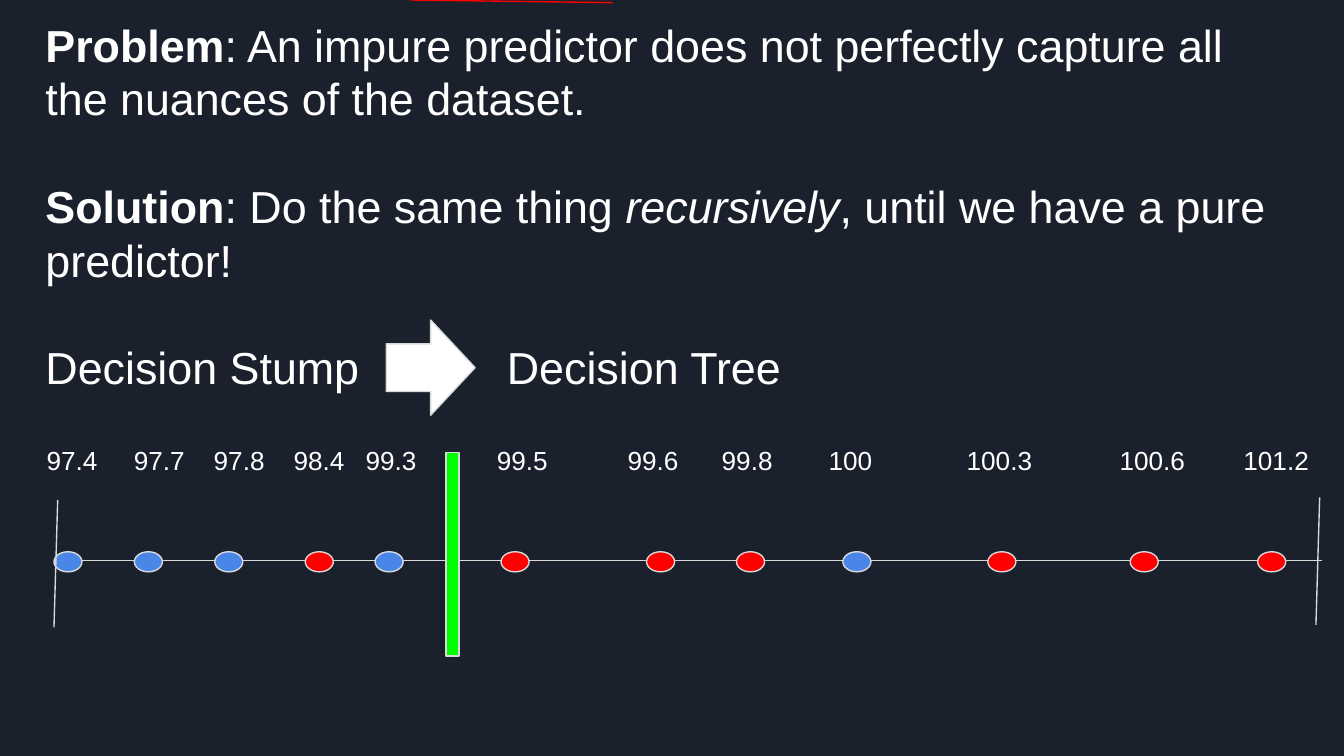
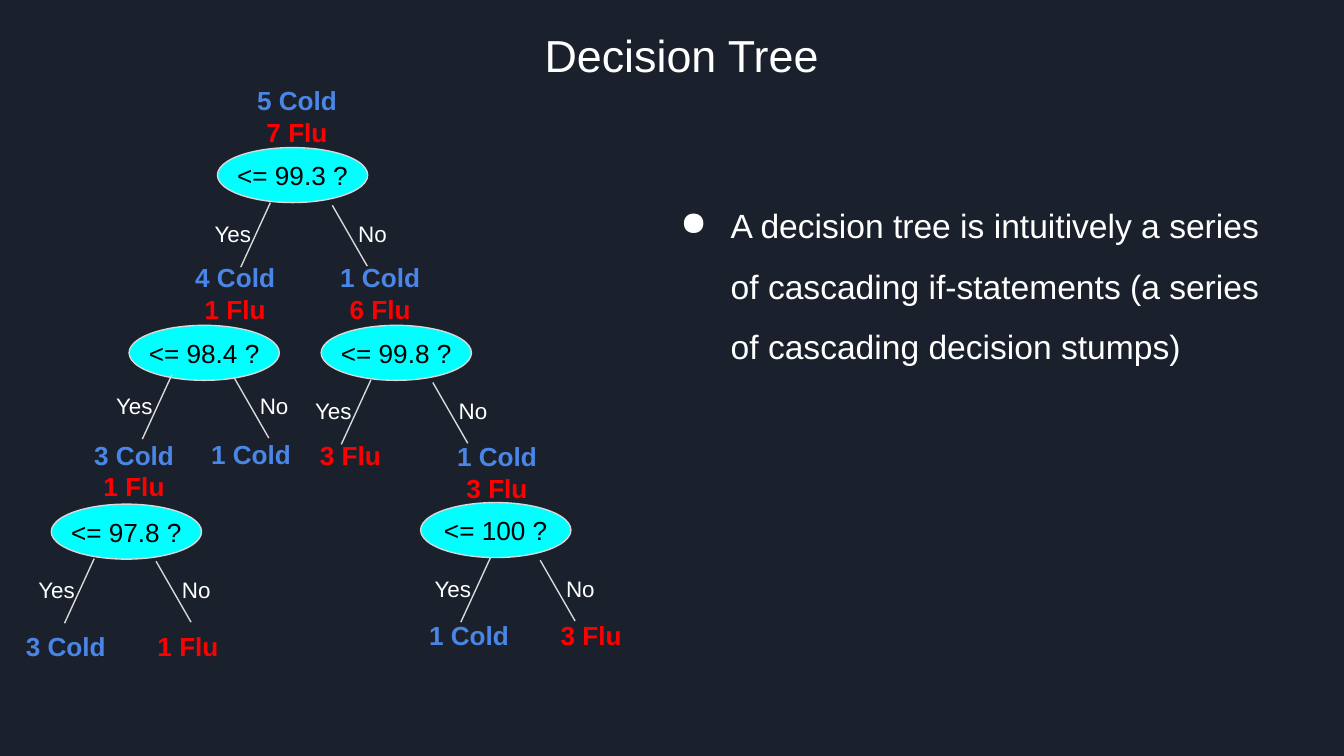
from lxml import etree
from pptx import Presentation
from pptx.dml.color import RGBColor
from pptx.enum.shapes import MSO_CONNECTOR as Connector, MSO_SHAPE as Shape
from pptx.enum.text import MSO_ANCHOR as Anchor, PP_ALIGN as Align
from pptx.oxml.ns import qn
from pptx.util import Cm, Pt

COLORS = {
    "background": "1B212C",
    "text": "FFFFFF",
    "outline": "D9D9D9",
    "cold": "4A86E8",
    "flu": "FF0000",
    "split": "00FF00",
    "question": "00FFFF",
    "question text": "000000",
}
FONT = "Arial"
INSET = 0.25

# Temperature, position of its label, left edge of its dot, diagnosis
PATIENTS = [
    ("97.4", 0.4, 1.02, "cold"),
    ("97.7", 2.05, 2.54, "cold"),
    ("97.8", 3.56, 4.06, "cold"),
    ("98.4", 5.07, 5.77, "flu"),
    ("99.3", 6.43, 7.09, "cold"),
    ("99.5", 8.91, 9.47, "flu"),
    ("99.6", 11.38, 12.22, "flu"),
    ("99.8", 13.16, 13.92, "flu"),
    ("100", 15.18, 15.93, "cold"),
    ("100.3", 17.79, 18.67, "flu"),
    ("100.6", 20.68, 21.36, "flu"),
    ("101.2", 23.02, 23.77, "flu"),
]

# Threshold, ellipse left and top, "Yes" label left and top, Yes-No distance
QUESTIONS = [
    ("99.3", 4.11, 2.79, 3.56, 3.91, 2.64),
    ("98.4", 2.44, 6.15, 1.7, 7.16, 2.64),
    ("97.8", 0.97, 9.53, 0.23, 10.64, 2.64),
    ("99.8", 6.07, 6.15, 5.46, 7.26, 2.64),
    ("100", 7.95, 9.5, 7.72, 10.62, 2.41),
]

# Cold patients, flu patients, left, top
COUNTS = [
    (5, 7, 4.6, 1.35),
    (4, 1, 3.43, 4.7),
    (1, 6, 6.17, 4.7),
    (3, 1, 1.52, 8.05),
    (1, 0, 3.73, 8.03),
    (0, 3, 5.61, 8.05),
    (1, 3, 8.38, 8.08),
    (3, 0, 0.23, 11.66),
    (0, 1, 2.54, 11.66),
    (1, 0, 7.85, 11.46),
    (0, 3, 10.16, 11.46),
]


def rgb(name):
    return RGBColor.from_string(COLORS[name])


def new_slide(presentation):
    slide = presentation.slides.add_slide(presentation.slide_layouts[6])
    fill = slide.background.fill
    fill.solid()
    fill.fore_color.rgb = rgb("background")
    return slide


def style_paragraph(paragraph, size, color="text", align=Align.LEFT, bold=None):
    paragraph.alignment = align
    font = paragraph.font
    font.name, font.size, font.bold = FONT, Pt(size), bold
    font.color.rgb = rgb(color)


def add_property(paragraph, tag, **attributes):
    """Put a paragraph property ahead of the font defaults."""
    element = etree.Element(qn(tag), attributes)
    properties = paragraph._p.get_or_add_pPr()
    font_defaults = properties.find(qn("a:defRPr"))
    if font_defaults is None:
        properties.append(element)
    else:
        font_defaults.addprevious(element)
    return element


def add_tabs(paragraph, positions):
    tabs = add_property(paragraph, "a:tabLst")
    for position in positions:
        etree.SubElement(tabs, qn("a:tab"), pos=str(Cm(position)), algn="l")


def add_bullet(paragraph, margin, hanging):
    properties = paragraph._p.get_or_add_pPr()
    properties.set("marL", str(Cm(margin)))
    properties.set("indent", str(-Cm(hanging)))
    color = add_property(paragraph, "a:buClr")
    etree.SubElement(color, qn("a:srgbClr"), val=COLORS["text"])
    add_property(paragraph, "a:buChar", char="●")


def add_text(slide, lines, left, top, width, height, size,
             align=Align.LEFT, bold=None, wrap=True):
    """Add a text box of (text, colour) lines and return its paragraphs."""
    box = slide.shapes.add_textbox(Cm(left), Cm(top), Cm(width), Cm(height))
    frame = box.text_frame
    frame.word_wrap = wrap
    frame.margin_left = frame.margin_right = Cm(INSET)
    frame.margin_top = frame.margin_bottom = Cm(INSET)
    for index, (text, color) in enumerate(lines):
        paragraph = frame.add_paragraph() if index else frame.paragraphs[0]
        if text:
            paragraph.add_run().text = text
        style_paragraph(paragraph, size, color, align, bold)
    return frame.paragraphs


def add_runs(paragraph, runs):
    for text, emphasis in runs:
        run = paragraph.add_run()
        run.text = text
        if emphasis == "bold":
            run.font.bold = True
        elif emphasis == "italic":
            run.font.italic = True


def add_figure(slide, kind, color, left, top, width, height):
    shape = slide.shapes.add_shape(kind, Cm(left), Cm(top), Cm(width), Cm(height))
    shape.shadow.inherit = False
    shape.fill.solid()
    shape.fill.fore_color.rgb = rgb(color)
    shape.line.color.rgb = rgb("outline")
    shape.line.width = Pt(0.75)
    return shape


def add_line(slide, start, end, color="outline"):
    line = slide.shapes.add_connector(
        Connector.STRAIGHT, *(Cm(value) for value in (*start, *end)))
    line.line.color.rgb = rgb(color)
    line.line.width = Pt(0.75)
    etree.SubElement(line._element.spPr, qn("a:effectLst"))


def add_temperature_axis(slide):
    add_line(slide, (1.02, 10.59), (24.99, 10.59))
    for temperature, label, left, diagnosis in PATIENTS:
        add_figure(slide, Shape.OVAL, diagnosis, left, 10.43, 0.53, 0.38)
    add_line(slide, (1.09, 9.45), (1.02, 11.86))
    add_line(slide, (24.94, 9.4), (24.87, 11.81))

    row = "".join("\t" + patient[0] for patient in PATIENTS)
    paragraph, = add_text(slide, [(row, "text")], 0.23, 8.15, 25.22, 0.51, 14)
    add_tabs(paragraph, [patient[1] for patient in PATIENTS])
    add_figure(slide, Shape.RECTANGLE, "split", 8.43, 8.56, 0.25, 3.84)


def add_question(slide, threshold, left, top):
    ellipse = add_figure(slide, Shape.OVAL, "question", left, top, 2.84, 1.04)
    frame = ellipse.text_frame
    frame.word_wrap = False
    frame.vertical_anchor = Anchor.MIDDLE
    frame.margin_left = frame.margin_right = Cm(0)
    frame.margin_top = frame.margin_bottom = Cm(0)
    paragraph = frame.paragraphs[0]
    paragraph.add_run().text = f"<= {threshold} ?"
    style_paragraph(paragraph, 14, "question text", Align.CENTER)


def add_branches(slide, left, top, gap):
    right = left + gap
    add_line(slide, (left + 1.55, top - 0.08), (left + 0.99, top + 1.14))
    add_line(slide, (right + 0.08, top - 0.03), (right + 0.74, top + 1.12))
    for answer, x in (("Yes", left), ("No", right)):
        add_text(slide, [(answer, "text")], x, top, 1.68, 0.94, 12,
                 Align.CENTER, wrap=False)


def add_counts(slide, cold, flu, left, top):
    lines = [(f"{count} {name.title()}", name)
             for count, name in ((cold, "cold"), (flu, "flu")) if count]
    add_text(slide, lines, left, top, 2.03, 1.42, 14, Align.CENTER,
             bold=True, wrap=False)


def build_problem_slide(presentation):
    slide = new_slide(presentation)
    add_line(slide, (7.75, 0), (11.58, 0.05), "flu")
    add_temperature_axis(slide)

    # Problem, solution and the step from stump to tree
    problem, solution, step = add_text(
        slide, [("", "text")] * 3, 0.61, 0.08, 23.72, 7.26, 24)
    add_runs(problem, [
        ("Problem", "bold"),
        (": An impure predictor does not perfectly capture all the nuances"
         " of the dataset.", None),
    ])
    add_runs(solution, [
        ("Solution", "bold"),
        (": Do the same thing ", None),
        ("recursively", "italic"),
        (", until we have a pure predictor!", None),
    ])
    add_runs(step, [("Decision Stump\tDecision Tree", None)])
    add_tabs(step, [8.72])
    for paragraph in (solution, step):
        paragraph.space_before = Pt(28.8)
    add_figure(slide, Shape.RIGHT_ARROW, "text", 7.3, 6.05, 1.68, 1.8)


def build_tree_slide(presentation):
    slide = new_slide(presentation)
    add_text(slide, [("Decision Tree", "text")], 1.02, 0.28, 23.72, 1.3, 24,
             Align.CENTER)

    # Tree
    for threshold, left, top, branch_left, branch_top, gap in QUESTIONS:
        add_question(slide, threshold, left, top)
        add_branches(slide, branch_left, branch_top, gap)
    for counts in COUNTS:
        add_counts(slide, *counts)

    # Explanation
    explanation = ("A decision tree is intuitively a series of cascading "
                   "if-statements (a series of cascading decision stumps)")
    paragraph, = add_text(slide, [(explanation, "text")],
                          12.29, 3.25, 11.86, 9.63, 18)
    paragraph.line_spacing = 1.5
    add_bullet(paragraph, 1.27, 0.95)


def main():
    presentation = Presentation()
    presentation.slide_width, presentation.slide_height = Cm(25.4), Cm(14.29)
    build_problem_slide(presentation)
    build_tree_slide(presentation)
    presentation.save("out.pptx")


if __name__ == "__main__":
    main()
